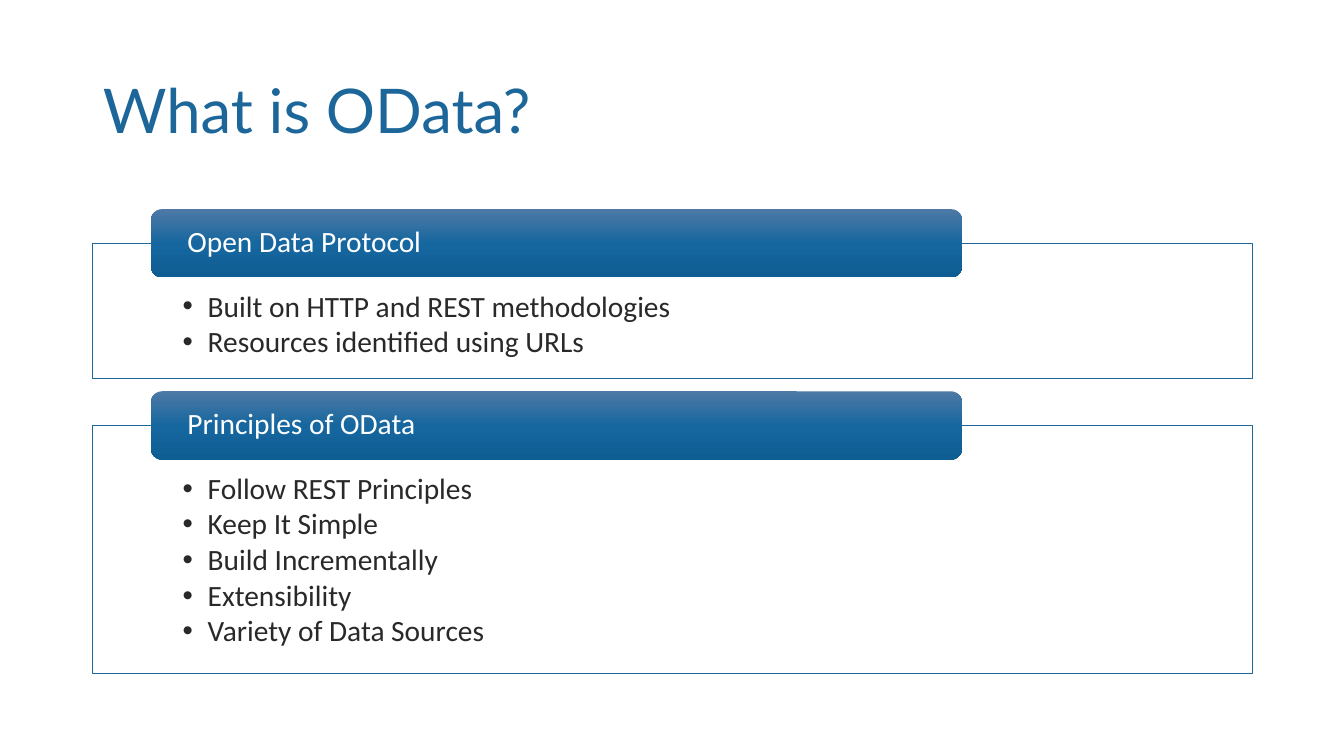
from dataclasses import dataclass
from lxml import etree
from pptx import Presentation
from pptx.dml.color import RGBColor
from pptx.enum.shapes import MSO_SHAPE
from pptx.enum.text import MSO_ANCHOR, MSO_AUTO_SIZE, PP_ALIGN
from pptx.oxml.ns import qn
from pptx.util import Cm, Pt

ROUND = MSO_SHAPE.ROUNDED_RECTANGLE
TOP, MIDDLE = MSO_ANCHOR.TOP, MSO_ANCHOR.MIDDLE
LEFT = PP_ALIGN.LEFT
FIXED = MSO_AUTO_SIZE.NONE


@dataclass(frozen=True)
class Theme:
    blue: str = "1C6699"
    ink: str = "292929"
    white: str = "FFFFFF"
    fade: tuple = ((0, "4E79A6"), (50, "16679F"), (100, "0E5D93"))
    head: str = "Lato"
    body: str = "Calibri"
    big: int = 44
    small: int = 21


THEME = Theme()
PANELS = [
    ("Open Data Protocol", [
        "Built on HTTP and REST methodologies",
        "Resources identified using URLs",
    ]),
    ("Principles of OData", [
        "Follow REST Principles",
        "Keep It Simple",
        "Build Incrementally",
        "Extensibility",
        "Variety of Data Sources",
    ]),
]

# Layout in centimetres
EDGE, WIDE = 2.34, 29.21
START, GAP = 5.27, 0.33
TAB, ROW, PAD = 1.72, 0.95, 1.5


def rgb(code):
    return RGBColor.from_string(code)


def place(shape, x, y, w, h):
    shape.left, shape.top, shape.width, shape.height = map(Cm, (x, y, w, h))


def bullet(para):
    props = para._p.get_or_add_pPr()
    props.set("marL", str(Cm(0.635)))
    props.set("indent", str(Cm(-0.635)))
    etree.SubElement(props, qn("a:buFont"), typeface="Arial")
    etree.SubElement(props, qn("a:buChar"), char="•")


def write(shape, lines, font=THEME.body, size=THEME.small, color=THEME.ink,
          anchor=MIDDLE, inset=(0.25, 0.13, 0.25, 0.13), after=0, dots=False):
    frame = shape.text_frame
    frame.word_wrap = True
    frame.auto_size = FIXED
    frame.vertical_anchor = anchor
    (frame.margin_left, frame.margin_top,
     frame.margin_right, frame.margin_bottom) = map(Cm, inset)
    frame.text = "\n".join(lines)
    for para in frame.paragraphs:
        para.alignment = LEFT
        para.line_spacing = 0.9
        para.space_before = Pt(0)
        para.space_after = Pt(after)
        if dots:
            bullet(para)
        style = para.runs[0].font
        style.name, style.size = font, Pt(size)
        style.color.rgb = rgb(color)


def blend(shape, stops):
    shape.fill.gradient()
    shape.fill.gradient_angle = 270
    items = shape._element.spPr.find(".//" + qn("a:gsLst"))
    items.clear()
    for spot, code in stops:
        stop = etree.SubElement(items, qn("a:gs"), pos=str(spot * 1000))
        etree.SubElement(stop, qn("a:srgbClr"), val=code)


def title(slide, x, y, w, h):
    shape = slide.shapes.title
    place(shape, x, y, w, h)
    write(shape, ["What is OData?"], font=THEME.head, size=THEME.big,
          color=THEME.blue)


def panel(slide, body, name, points, x, y, w, h):
    # Outlined list
    place(body, x, y + TAB / 2, w, h - TAB / 2)
    body.fill.solid()
    body.fill.fore_color.rgb = rgb(THEME.white)
    tint = body._element.spPr.find(".//" + qn("a:srgbClr"))
    etree.SubElement(tint, qn("a:alpha"), val="90000")
    body.line.color.rgb = rgb(THEME.blue)
    body.line.width = Pt(0.5)
    write(body, points, anchor=TOP, inset=(2.26, 1.22, 2.26, 0.41),
          after=2.8, dots=True)

    # Heading tab over the top edge
    tab = slide.shapes.add_shape(ROUND, 0, 0, 0, 0)
    place(tab, x + 0.05 * w, y, 0.7 * w, TAB)
    tab.shadow.inherit = False
    tab.line.fill.background()
    blend(tab, THEME.fade)
    write(tab, [name], color=THEME.white, inset=(0.84, 0, 0.84, 0))


def main():
    deck = Presentation()
    deck.slide_width, deck.slide_height = Cm(33.87), Cm(19.05)
    slide = deck.slides.add_slide(deck.slide_layouts[3])
    title(slide, EDGE, 1.02, WIDE, 3.68)

    # Panels grow with their lists
    bodies = list(slide.placeholders)[1:]
    y = START
    for body, (name, points) in zip(bodies, PANELS):
        h = TAB / 2 + PAD + ROW * len(points)
        panel(slide, body, name, points, EDGE, y, WIDE, h)
        y += h + GAP
    deck.save("out.pptx")


if __name__ == "__main__":
    main()
